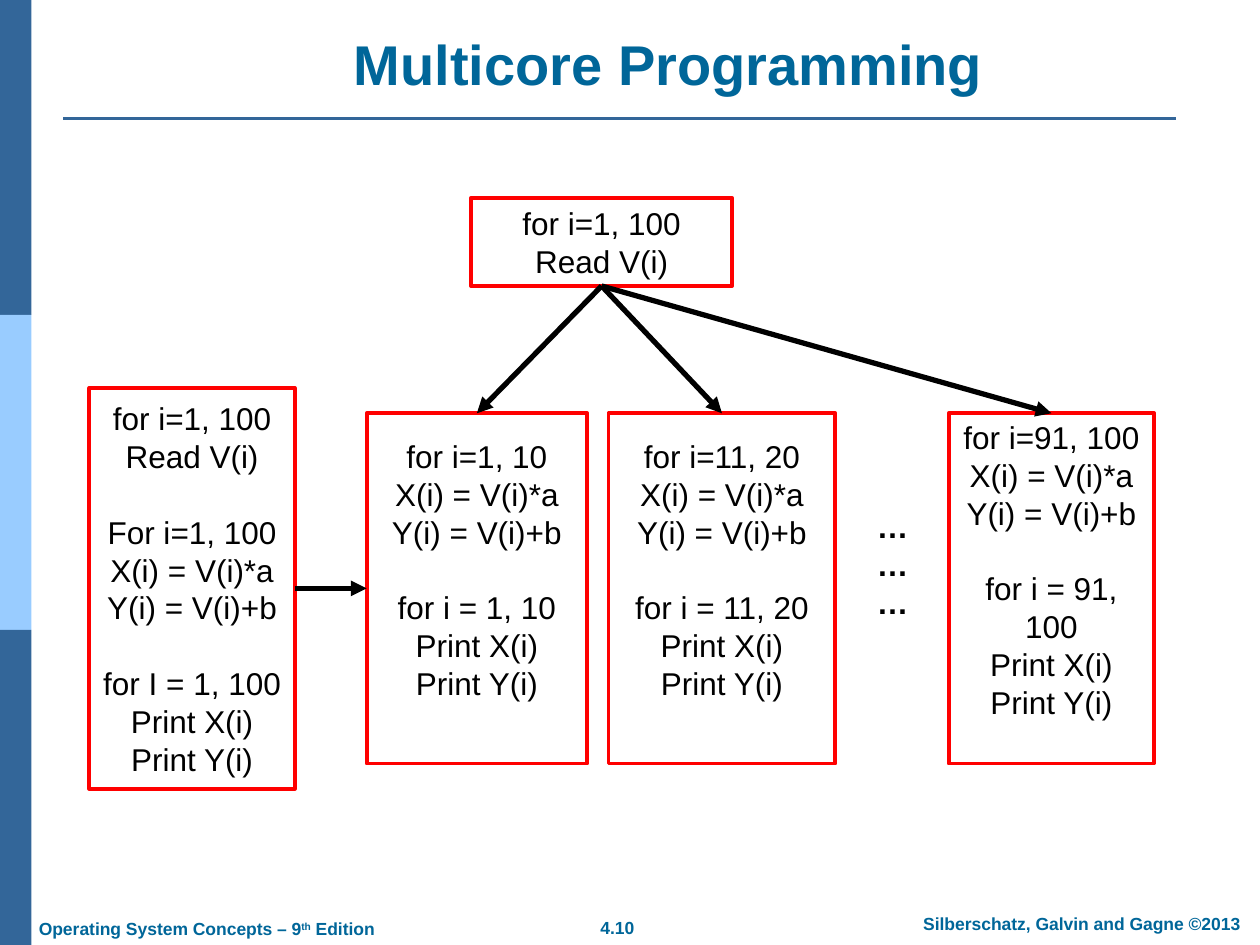
from lxml import etree
from pptx import Presentation
from pptx import util as u
from pptx.dml.color import RGBColor
from pptx.enum import shapes, text
from pptx.oxml import ns

NAVY = RGBColor(0x33, 0x66, 0x99)
SKY = RGBColor(0x99, 0xCC, 0xFF)
TEAL = RGBColor(0x00, 0x66, 0x99)
RED = RGBColor(0xFF, 0x00, 0x00)
BLACK = RGBColor(0, 0, 0)
WHITE = RGBColor(0xFF, 0xFF, 0xFF)

# Grid of 100 columns by 75 rows over the slide
WIDE, HIGH = u.Inches(10), u.Inches(7.5)
COL, ROW = WIDE / 100, HIGH / 75
LEAD = u.Pt(21.6)  # line pitch of the code
TOP, LEFT, BASE, RIGHT = range(4)  # connection sites


def span(box):
    x, y, w, h = box
    return [u.Emu(round(n)) for n in (x * COL, y * ROW, w * COL, h * ROW)]


def add_run(para, words, size, color, bold=False):
    run = para.add_run()
    run.text = words
    font = run.font
    font.name, font.size, font.bold = "Arial", u.Pt(size), bold
    font.color.rgb = color
    return run


def add_rect(slide, box, fill, edge=None):
    rect = slide.shapes.add_shape(shapes.MSO_SHAPE.RECTANGLE, *span(box))
    rect.shadow.inherit = False
    rect.fill.solid()
    rect.fill.fore_color.rgb = fill
    if edge is None:
        rect.line.fill.background()
    else:
        rect.line.color.rgb = edge
        rect.line.width = u.Pt(2.25)
    return rect


def add_line(slide, start, end, color, width):
    x, y, _, _ = span((*start, 0, 0))
    right, low, _, _ = span((*end, 0, 0))
    line = slide.shapes.add_connector(
        shapes.MSO_CONNECTOR.STRAIGHT, x, y, right, low)
    line.line.color.rgb = color
    line.line.width = u.Pt(width)
    etree.SubElement(line._element.spPr, ns.qn("a:effectLst"))
    return line


def add_arrow(slide, tail, out, head, into):
    line = add_line(slide, (0, 0), (0, 0), BLACK, 3)
    line.begin_connect(tail, out)
    line.end_connect(head, into)
    etree.SubElement(line.line._get_or_add_ln(), ns.qn("a:tailEnd"),
                     type="triangle")


def add_code(slide, box, parts, edge=RED, bold=False, pad=0):
    """Boxed code; parts are line groups set one line apart."""
    rect = add_rect(slide, box, WHITE, edge)
    frame = rect.text_frame
    frame.word_wrap = True
    frame.vertical_anchor = text.MSO_ANCHOR.MIDDLE
    frame.margin_bottom = u.Inches(0.05) + pad * LEAD
    para = None
    for part in parts:
        for k, words in enumerate(part):
            first = para is None
            para = frame.paragraphs[0] if first else frame.add_paragraph()
            para.alignment = text.PP_ALIGN.CENTER
            para.line_spacing = LEAD
            if k == 0 and not first:
                para.space_before = LEAD
            add_run(para, words, 18, BLACK, bold)
    return rect


def add_rail(slide, box):
    """Three equal bands down the left edge."""
    x, y, w, h = box
    for k, fill in enumerate((NAVY, SKY, NAVY)):
        add_rect(slide, (x, y + k * h / 3, w, h / 3), fill)


def add_title(slide, box, words):
    title = slide.shapes.title
    title.left, title.top, title.width, title.height = span(box)
    frame = title.text_frame
    frame.auto_size = text.MSO_AUTO_SIZE.NONE
    frame.vertical_anchor = text.MSO_ANCHOR.BOTTOM
    para = frame.paragraphs[0]
    para.alignment = text.PP_ALIGN.CENTER
    add_run(para, words, 32, TEAL, True)


def add_note(slide, box, runs, align, wrap=False):
    """Footer text; runs pair words with a raised flag."""
    frame = slide.shapes.add_textbox(*span(box)).text_frame
    frame.word_wrap = wrap
    frame.auto_size = text.MSO_AUTO_SIZE.SHAPE_TO_FIT_TEXT
    para = frame.paragraphs[0]
    para.alignment = align
    for words, high in runs:
        run = add_run(para, words, 10, TEAL, True)
        if high:
            run.font._element.set("baseline", "30000")


def add_foot(slide, box):
    x, y, w, h = box
    mid = text.PP_ALIGN.CENTER
    add_note(slide, (x + 42, y + 0.3, 9.8, h), [("4.10", False)], mid)
    add_note(slide, (x + w - 29.7, y, 29.7, h),
             [("Silberschatz, Galvin and Gagne ©2013", False)], mid, True)
    add_note(slide, (x, y + 0.4, 29, h),
             [("Operating System Concepts – 9", False), ("th", True),
              (" Edition", False)], text.PP_ALIGN.LEFT)


def add_flow(slide, box):
    """Serial loop on the left, split over cores on the right."""
    x, y, w, h = box
    read = ["for i=1, 100", "Read V(i)"]
    work = ["X(i) = V(i)*a", "Y(i) = V(i)+b"]
    show = ["Print X(i)", "Print Y(i)"]

    root = add_code(slide, (x + 30.3, y, 20.7, 7), [read])
    serial = add_code(slide, (x, y + 15.1, 16.3, h - 15.1),
                      [read, ["For i=1, 100", *work],
                       ["for I = 1, 100", *show]])
    cores = []
    for left, wide, part in ((22, 17.5, "1, 10"), (41.2, 18, "11, 20"),
                             (w - 16.3, 16.3, "91, 100")):
        cores.append(add_code(
            slide, (x + left, y + 17.1, wide, h - 19.1),
            [[f"for i={part}", *work], [f"for i = {part}", *show]], pad=1))
    add_code(slide, (x + 60.9, y + 26.5, 5.7, 5.1), [["………"]],
             edge=None, bold=True)

    add_arrow(slide, serial, RIGHT, cores[0], LEFT)
    for core in cores:
        add_arrow(slide, root, BASE, core, TOP)


def main():
    deck = Presentation()
    deck.slide_width, deck.slide_height = WIDE, HIGH
    slide = deck.slides.add_slide(deck.slide_layouts[5])
    # Frame of the slide
    add_rail(slide, (0, 0, 2.5, 75))
    add_line(slide, (5, 9.4), (93.3, 9.4), NAVY, 1.5)
    add_foot(slide, (2.1, 72, 98.6, 2.7))
    # Content
    add_title(slide, (11.1, 1.9, 83.9, 6.3), "Multicore Programming")
    add_flow(slide, (7.1, 15.7, 84.5, 46.9))
    deck.save("out.pptx")


if __name__ == "__main__":
    main()
